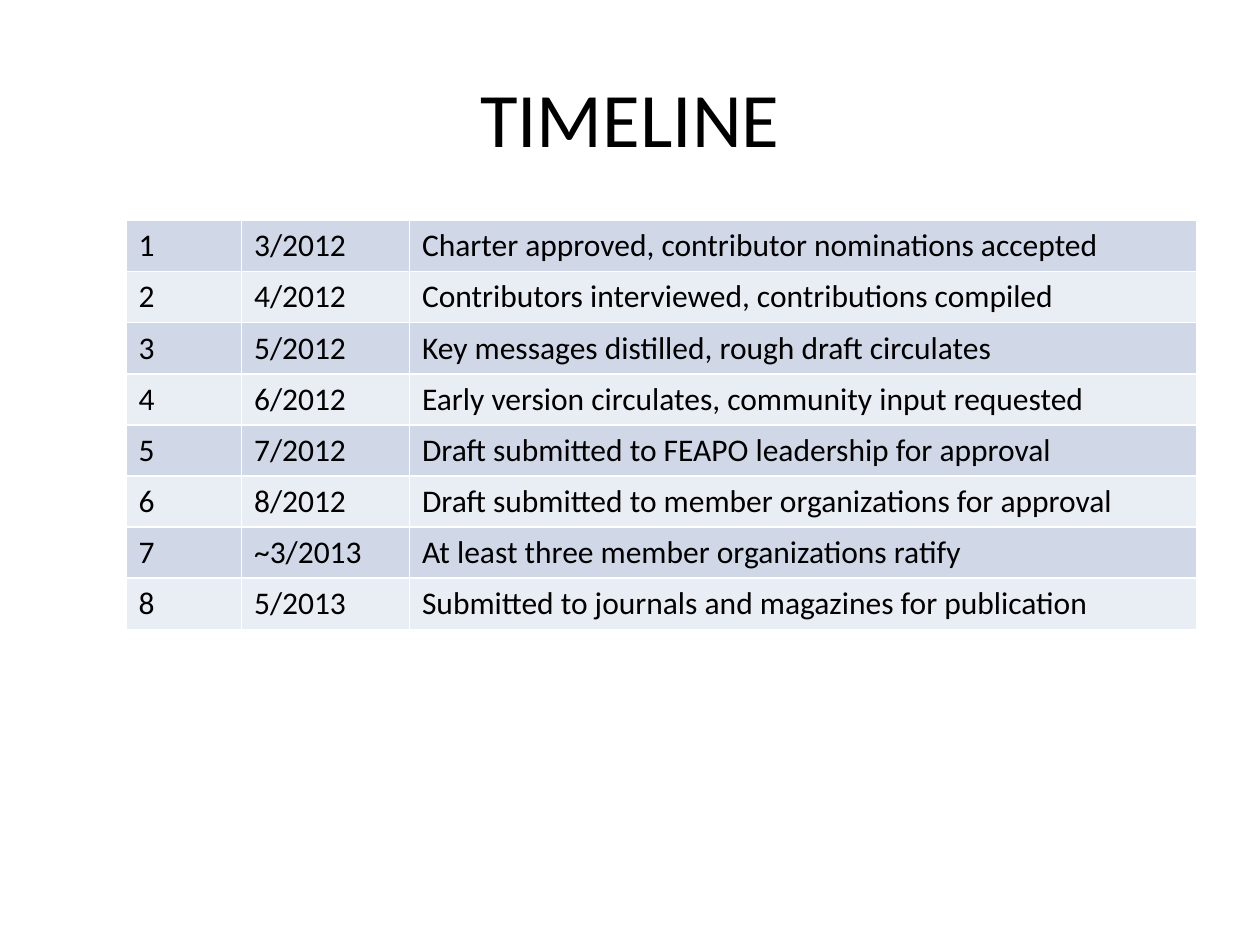
from typing import NamedTuple

import pptx
import pptx.dml.color
import pptx.enum.text
import pptx.oxml
import pptx.oxml.ns
import pptx.util

Pt = pptx.util.Pt

FONT = "Calibri"
COLORS = {
    "text": "000000",
    "odd_row": "D0D8E8",
    "even_row": "E9EDF4",
    "border": "FFFFFF",
}
COLUMN_WIDTHS = (66, 96, 450)
ROW_HEIGHT = 29.2
TABLE_LEFT, TABLE_TOP = 72, 126


class Milestone(NamedTuple):
    date: str
    event: str


MILESTONES = [
    Milestone("3/2012", "Charter approved, contributor nominations accepted"),
    Milestone("4/2012", "Contributors interviewed, contributions compiled"),
    Milestone("5/2012", "Key messages distilled, rough draft circulates"),
    Milestone("6/2012", "Early version circulates, community input requested"),
    Milestone("7/2012", "Draft submitted to FEAPO leadership for approval"),
    Milestone("8/2012", "Draft submitted to member organizations for approval"),
    Milestone("~3/2013", "At least three member organizations ratify"),
    Milestone("5/2013", "Submitted to journals and magazines for publication"),
]


def rgb(name: str) -> pptx.dml.color.RGBColor:
    return pptx.dml.color.RGBColor.from_string(COLORS[name])


def format_paragraph(para, size: float) -> None:
    para.font.name = FONT
    para.font.size = Pt(size)
    para.font.bold = False
    para.font.color.rgb = rgb("text")


def add_borders(cell, width: float) -> None:
    properties = cell._tc.get_or_add_tcPr()
    for side in ("lnL", "lnR", "lnT", "lnB"):
        properties.append(pptx.oxml.parse_xml(
            f'<a:{side} {pptx.oxml.ns.nsdecls("a")} w="{Pt(width)}">'
            f'<a:solidFill><a:srgbClr val="{COLORS["border"]}"/></a:solidFill>'
            f'</a:{side}>'
        ))


def fill_cell(cell, text: str, color: str) -> None:
    cell.text = text
    format_paragraph(cell.text_frame.paragraphs[0], 18)
    add_borders(cell, 1)
    cell.fill.solid()
    cell.fill.fore_color.rgb = rgb(color)


def add_title(page, text: str) -> None:
    title = page.shapes.title
    title.left, title.top, title.width, title.height = Pt(36), Pt(21.6), Pt(648), Pt(90)
    frame = title.text_frame
    frame.text = text
    frame.vertical_anchor = pptx.enum.text.MSO_ANCHOR.MIDDLE
    para = frame.paragraphs[0]
    para.alignment = pptx.enum.text.PP_ALIGN.CENTER
    format_paragraph(para, 44)


def add_timeline(page, milestones: list[Milestone]) -> None:
    table = page.shapes.add_table(
        len(milestones), len(COLUMN_WIDTHS), Pt(TABLE_LEFT), Pt(TABLE_TOP),
        Pt(sum(COLUMN_WIDTHS)), Pt(ROW_HEIGHT * len(milestones)),
    ).table
    table.first_row = False
    for column, width in zip(table.columns, COLUMN_WIDTHS):
        column.width = Pt(width)
    for number, (row, milestone) in enumerate(zip(table.rows, milestones), start=1):
        row.height = Pt(ROW_HEIGHT)
        color = "odd_row" if number % 2 else "even_row"
        for cell, text in zip(row.cells, (str(number), *milestone)):
            fill_cell(cell, text, color)


def main() -> None:
    deck = pptx.Presentation()
    deck.slide_width, deck.slide_height = Pt(720), Pt(540)
    page = deck.slides.add_slide(deck.slide_layouts.get_by_name("Title Only"))
    add_title(page, "TIMELINE")
    add_timeline(page, MILESTONES)
    deck.save("out.pptx")


if __name__ == "__main__":
    main()
